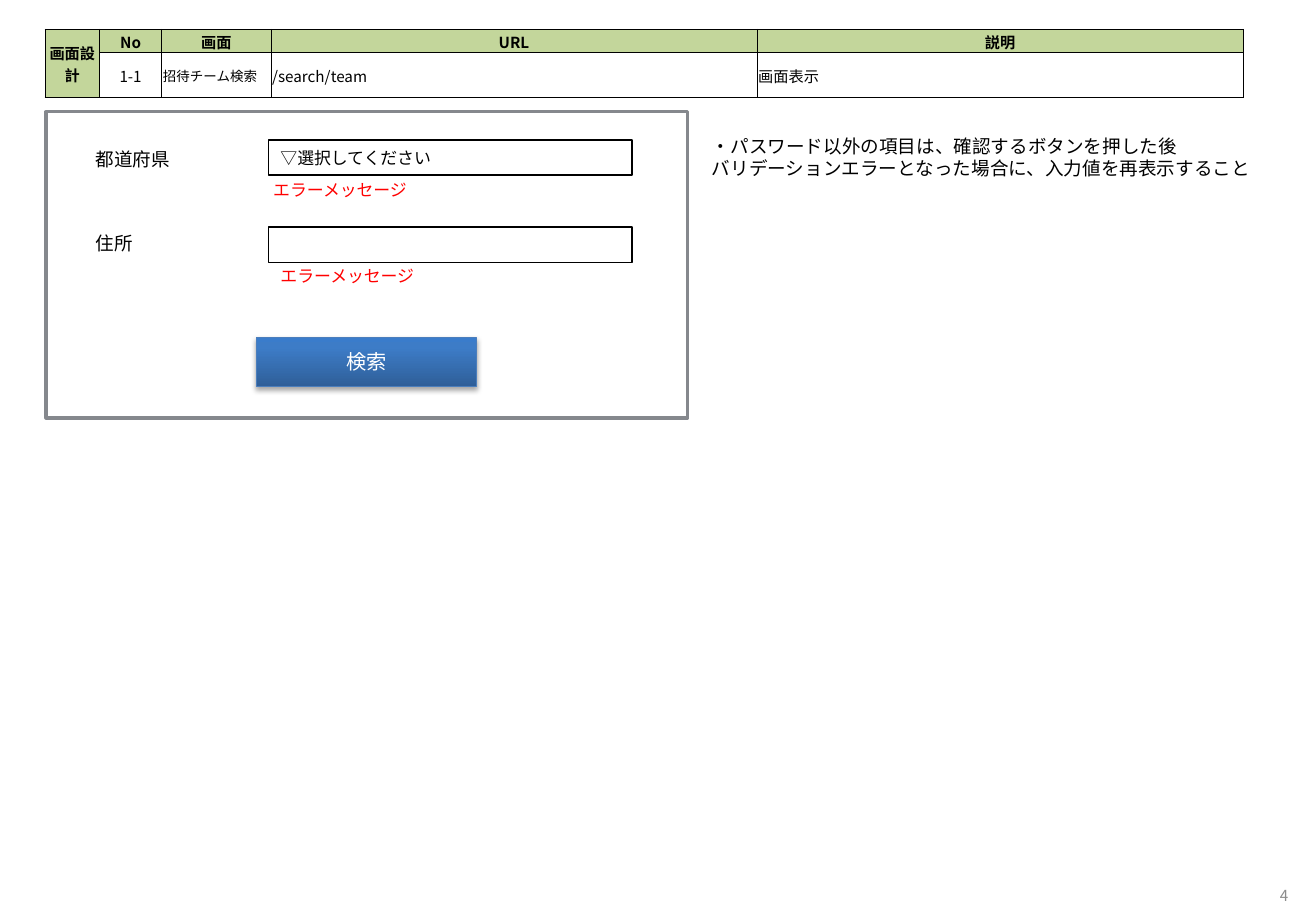
import copy
import pptx
import pptx.dml.color
import pptx.enum.shapes
import pptx.enum.text
import pptx.oxml
import pptx.oxml.ns
import pptx.util

# Content
HEADINGS = ["画面設計", "No", "画面", "URL", "説明"]
SCREEN = ["1-1", "招待チーム検索", "/search/team", "画面表示"]
COLUMN_WIDTHS = [0.45, 0.51, 0.9, 4, 4]
ROW_HEIGHTS = [0.13, 0.2]
# label, its top, field text, field top, error left, error top, label width
FIELDS = [
    ("都道府県", 1.17, "▽選択してください", 1.15, 2.15, 1.43, 0.82),
    ("住所", 1.86, "", 1.87, 2.21, 2.14, 0.51),
]
ERROR = "エラーメッセージ"
NOTES = ["・パスワード以外の項目は、確認するボタンを押した後",
         "バリデーションエラーとなった場合に、入力値を再表示すること"]
BUTTON_STOPS = [(0, "2F5F99"), (0.8, "3D7CC7"), (1, "3A7CCB")]

FONT, NUMBER_FONT = "Noto Sans CJK JP", "Noto Sans CJK KR"
BLACK, WHITE, RED, GREEN = "000000", "FFFFFF", "FF0000", "C3D69B"
LEFT = pptx.enum.text.PP_ALIGN.LEFT
CENTER = pptx.enum.text.PP_ALIGN.CENTER
RIGHT = pptx.enum.text.PP_ALIGN.RIGHT
MIDDLE = pptx.enum.text.MSO_ANCHOR.MIDDLE
Inches, Pt = pptx.util.Inches, pptx.util.Pt
qn = pptx.oxml.ns.qn
DRAWING = pptx.oxml.ns.nsdecls("a")


def color(value):
    return pptx.dml.color.RGBColor.from_string(value)


def write(frame, lines, size, shade=BLACK, align=LEFT, bold=False, font=FONT):
    frame.text = "\n".join(lines)
    for paragraph in frame.paragraphs:
        paragraph.alignment = align
        paragraph.font.size = Pt(size)
        paragraph.font.bold = bold
        paragraph.font.name = font
        paragraph.font.color.rgb = color(shade)
        east_asian = pptx.oxml.parse_xml(f'<a:ea {DRAWING} typeface="{font}"/>')
        paragraph._p.pPr.find(qn("a:defRPr")).append(east_asian)


def add_label(box, lines, size, shade=BLACK):
    frame = slide.shapes.add_textbox(*map(Inches, box)).text_frame
    frame.word_wrap = False
    frame.auto_size = pptx.enum.text.MSO_AUTO_SIZE.SHAPE_TO_FIT_TEXT
    write(frame, lines, size, shade)


def add_box(box, line, width, fill=None):
    shape = slide.shapes.add_shape(
        pptx.enum.shapes.MSO_SHAPE.RECTANGLE, *map(Inches, box))
    shape.shadow.inherit = False
    shape.line.color.rgb = color(line)
    shape.line.width = Pt(width)
    if fill:
        shape.fill.solid()
        shape.fill.fore_color.rgb = color(fill)
    else:
        shape.fill.background()
    shape.text_frame.vertical_anchor = MIDDLE
    return shape


def fill_cell(cell, text, fill, size, align, bold):
    cell.margin_left = cell.margin_right = cell.margin_top = Inches(0.01)
    cell.margin_bottom = 0
    cell.vertical_anchor = MIDDLE
    write(cell.text_frame, [text], size, align=align, bold=bold)
    add_borders(cell)
    if fill:
        cell.fill.solid()
        cell.fill.fore_color.rgb = color(fill)
    else:
        cell.fill.background()


def add_borders(cell):
    for side in ("lnL", "lnR", "lnT", "lnB"):
        cell._tc.get_or_add_tcPr().append(pptx.oxml.parse_xml(
            f'<a:{side} {DRAWING} w="{Pt(0.5)}"><a:solidFill>'
            f'<a:srgbClr val="{BLACK}"/></a:solidFill></a:{side}>'))


prs = pptx.Presentation()
prs.slide_width, prs.slide_height = Inches(10.83), Inches(7.5)
slide = prs.slides.add_slide(prs.slide_layouts[6])

# Screen design table
design = slide.shapes.add_table(
    len(ROW_HEIGHTS), len(COLUMN_WIDTHS), Inches(0.37), Inches(0.24),
    Inches(sum(COLUMN_WIDTHS)), Inches(sum(ROW_HEIGHTS))).table
for column, width in zip(design.columns, COLUMN_WIDTHS):
    column.width = Inches(width)
for row, height in zip(design.rows, ROW_HEIGHTS):
    row.height = Inches(height)
for index, heading in enumerate(HEADINGS):
    fill_cell(design.cell(0, index), heading, GREEN, 9, CENTER, True)
for index, value in enumerate(SCREEN, start=1):
    fill_cell(design.cell(1, index), value, None, 8 if index == 2 else 9,
              CENTER if index == 1 else LEFT, False)
add_borders(design.cell(1, 0))
design.cell(0, 0).merge(design.cell(1, 0))

# Page number
page = slide.shapes.add_textbox(*map(Inches, (10.06, 7.29, 0.64, 0.16))).text_frame
page.word_wrap = True
page.vertical_anchor = MIDDLE
write(page, ["4"], 9, "8C8C8C", RIGHT, font=NUMBER_FONT)

# Search form
add_box((0.38, 0.92, 5.28, 2.52), "85888D", 2)
for label, label_top, prompt, top, error_left, error_top, width in FIELDS:
    add_label((0.69, label_top, width, 0.29), [label], 11)
    field = add_box((2.21, top, 2.99, 0.29), BLACK, 1, WHITE)
    if prompt:
        write(field.text_frame, [prompt], 10)
    add_label((error_left, error_top, 1.32, 0.27), [ERROR], 10, RED)

# Search button with gradient and shadow
button = add_box((2.11, 2.78, 1.81, 0.4), "4B7EBC", 0.75)
button.fill.gradient()
button.fill.gradient_angle = 90
stop_list = button._element.spPr.find(qn("a:gradFill")).find(qn("a:gsLst"))
stop_list.append(copy.deepcopy(stop_list[-1]))
for stop, (position, shade) in zip(button.fill.gradient_stops, BUTTON_STOPS):
    stop.position = position
    stop.color.rgb = color(shade)
button._element.spPr.find(qn("a:effectLst")).append(pptx.oxml.parse_xml(
    f'<a:outerShdw {DRAWING} blurRad="{Pt(3.1)}" dist="{Pt(1.8)}" dir="5400000" '
    f'rotWithShape="0"><a:srgbClr val="{BLACK}"><a:alpha val="35000"/>'
    '</a:srgbClr></a:outerShdw>'))
write(button.text_frame, ["検索"], 12, WHITE, CENTER)

# Notes beside the form
add_label((5.76, 1.06, 4.68, 0.47), NOTES, 11)

prs.save("out.pptx")
